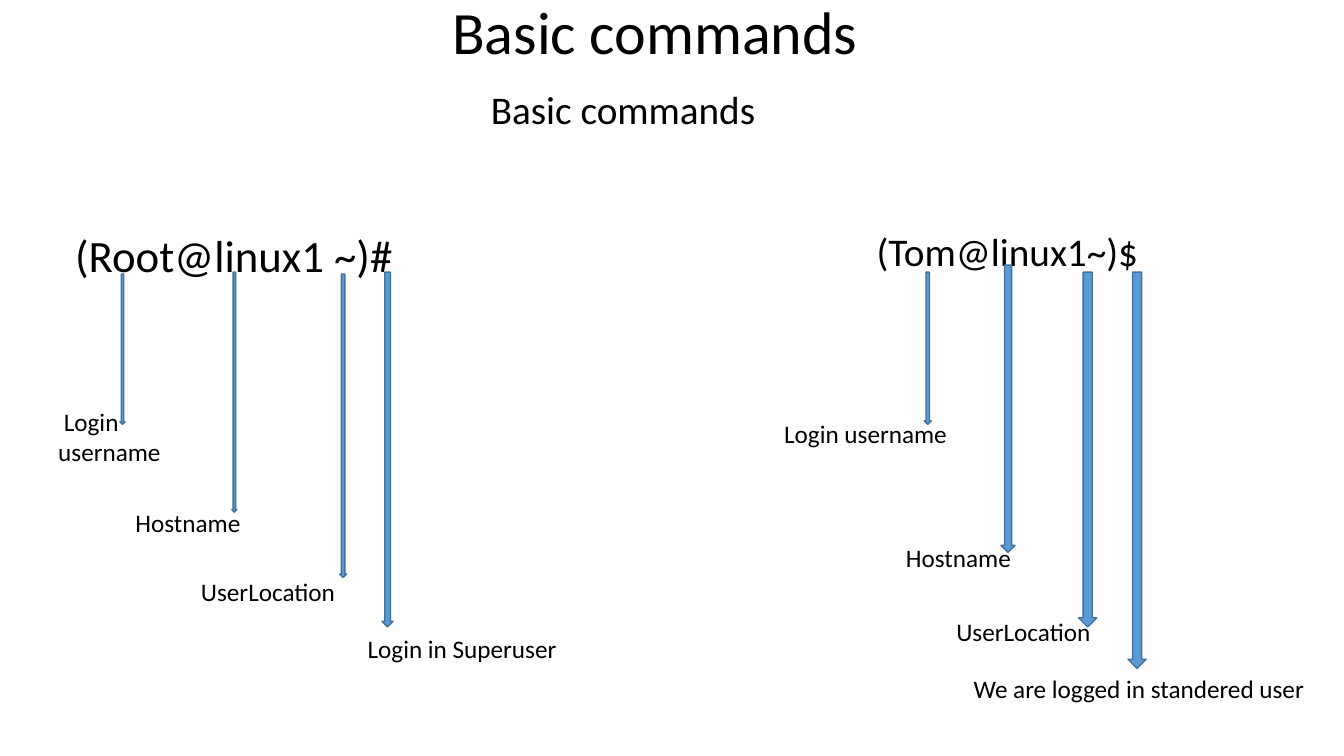
from typing import NamedTuple

from pptx import Presentation
from pptx.dml.color import RGBColor
from pptx.enum.shapes import MSO_SHAPE
from pptx.enum.text import MSO_ANCHOR
from pptx.util import Pt

DOWN_ARROW = MSO_SHAPE.DOWN_ARROW
TOP, MIDDLE = MSO_ANCHOR.TOP, MSO_ANCHOR.MIDDLE

BLACK = RGBColor(0x00, 0x00, 0x00)
ARROW_BLUE = RGBColor(0x5B, 0x9B, 0xD5)
ARROW_EDGE = RGBColor(0x42, 0x71, 0x9B)
FONT = "Calibri"
LABEL_SIZE = 18
LABEL_HEIGHT = 29


class Box(NamedTuple):
    left: float
    top: float
    width: float
    height: float

    def inner(self, dx, dy, width, height):
        """Return a box placed relative to this one's top left corner."""
        return Box(self.left + dx, self.top + dy, width, height)

    def lengths(self):
        return [Pt(length) for length in self]


class PromptPart(NamedTuple):
    """One labelled part of a prompt; arrow and label are relative to its panel."""
    meaning: str
    arrow: tuple
    label: tuple
    first_indent: float = 0


ROOT_PARTS = [
    PromptPart("Login username", (51.2, 36.8, 3.6, 107.3), (0, 127.5, 110), 4),
    PromptPart("Hostname", (131.1, 35.4, 3.6, 171.4), (55.2, 199.5, 94)),
    PromptPart("UserLocation", (208.1, 36.8, 5, 216.7), (102, 249, 116)),
    PromptPart("Login in Superuser", (238.4, 35.4, 7.9, 253.4), (221, 289.5, 151)),
]
TOM_PARTS = [
    PromptPart("Login username", (107.2, 35.4, 5, 108.7), (0, 136.2, 133)),
    PromptPart("Hostname", (162, 30.4, 10.1, 205.2), (87, 224.8, 90)),
    PromptPart("UserLocation", (217.4, 35.4, 13, 253.4), (123, 278, 112)),
    PromptPart("We are logged in standered user", (252.7, 35.4, 13, 283),
               (135.3, 318.4, 254)),
]


def add_text(slide, box, text, size, anchor=TOP, line_spacing=1.0, first_indent=0):
    frame = slide.shapes.add_textbox(*box.lengths()).text_frame
    frame.word_wrap = True
    frame.vertical_anchor = anchor
    paragraph = frame.paragraphs[0]
    paragraph.text = text
    paragraph.line_spacing = line_spacing
    if first_indent:
        paragraph._p.get_or_add_pPr().set("indent", str(Pt(first_indent)))
    paragraph.font.size = Pt(size)
    paragraph.font.name = FONT
    paragraph.font.color.rgb = BLACK


def add_down_arrow(slide, box):
    arrow = slide.shapes.add_shape(DOWN_ARROW, *box.lengths())
    arrow.shadow.inherit = False
    arrow.fill.solid()
    arrow.fill.fore_color.rgb = ARROW_BLUE
    arrow.line.color.rgb = ARROW_EDGE
    arrow.line.width = Pt(1)


def add_headings(slide, box):
    add_text(slide, box.inner(316, 0, 600, 50), "Basic commands", 42.9, MIDDLE, 0.9)
    add_text(slide, box.inner(343.5, 61, 440, 37), "Basic commands", 28, TOP, 0.9)


def add_prompt_panel(slide, box, prompt, prompt_left, prompt_size, parts):
    """Show a shell prompt with an arrow from each part to its meaning."""
    add_text(slide, box.inner(prompt_left, 0, 300, 46), prompt, prompt_size)
    for part in parts:
        add_down_arrow(slide, box.inner(*part.arrow))
        add_text(slide, box.inner(*part.label, LABEL_HEIGHT), part.meaning,
                 LABEL_SIZE, first_indent=part.first_indent)


def main():
    presentation = Presentation()
    presentation.slide_width = Pt(960)
    presentation.slide_height = Pt(540)
    slide = presentation.slides.add_slide(presentation.slide_layouts[6])

    add_headings(slide, Box(0, 0, 960, 100))
    add_prompt_panel(slide, Box(34.5, 159, 373, 319), "(Root@linux1 ~)#", 12, 32,
                     ROOT_PARTS)
    add_prompt_panel(slide, Box(553, 159, 390, 348), "(Tom@linux1~)$", 66, 28,
                     TOM_PARTS)
    presentation.save("out.pptx")


if __name__ == "__main__":
    main()
